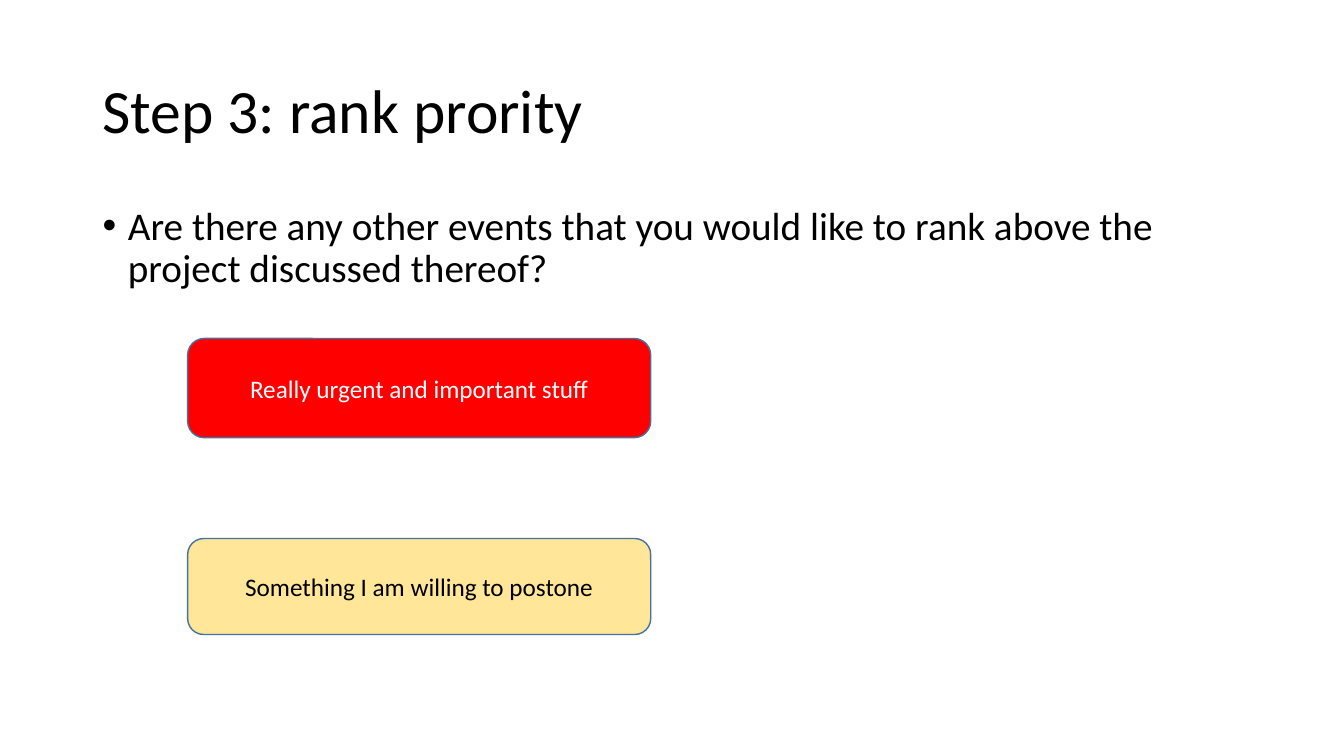
from pptx import Presentation
from pptx.dml.color import RGBColor
from pptx.enum.shapes import MSO_SHAPE
from pptx.enum.text import MSO_ANCHOR, MSO_AUTO_SIZE, PP_ALIGN
from pptx.util import Cm, Pt

ROUND = MSO_SHAPE.ROUNDED_RECTANGLE
MIDDLE, TOP = MSO_ANCHOR.MIDDLE, MSO_ANCHOR.TOP
LEFT, CENTER = PP_ALIGN.LEFT, PP_ALIGN.CENTER
NO_FIT = MSO_AUTO_SIZE.NONE

COLORS = {
    "black": "000000",
    "white": "FFFFFF",
    "red": "FF0000",
    "sand": "FFE699",
    "edge": "43739E",
}


class Deck:
    """Holds the style and the current slide."""

    font = "Calibri"

    def __init__(self, prs):
        self.slide = prs.slides.add_slide(prs.slide_layouts[1])

    def color(self, name):
        return RGBColor.from_string(COLORS[name])

    def label(self, shape, text, size, color, align, anchor):
        frame = shape.text_frame
        frame.text = text
        frame.word_wrap = True
        frame.auto_size = NO_FIT
        frame.vertical_anchor = anchor
        para = frame.paragraphs[0]
        para.alignment = align
        font = para.runs[0].font
        font.name, font.size = self.font, Pt(size)
        font.color.rgb = self.color(color)
        return para

    def place(self, shape, left, top, width, height):
        shape.left, shape.top = Cm(left), Cm(top)
        shape.width, shape.height = Cm(width), Cm(height)

    def title(self, text, *box):
        shape = self.slide.shapes.title
        self.place(shape, *box)
        para = self.label(shape, text, 44, "black", LEFT, MIDDLE)
        para.line_spacing = 0.9

    def bullet(self, text, *box):
        shape = self.slide.placeholders[1]
        self.place(shape, *box)
        para = self.label(shape, text, 28, "black", LEFT, TOP)
        para.line_spacing = 0.9
        para.space_before = Pt(10)
        # Hanging indent; the bullet sign comes from the template
        props = para._p.get_or_add_pPr()
        indent = Cm(0.64)
        props.set("marL", str(indent))
        props.set("indent", str(-indent))

    def card(self, text, fill, color, *box):
        shape = self.slide.shapes.add_shape(ROUND, *map(Cm, box))
        shape.shadow.inherit = False
        shape.fill.solid()
        shape.fill.fore_color.rgb = self.color(fill)
        shape.line.color.rgb = self.color("edge")
        shape.line.width = Pt(1)
        self.label(shape, text, 18, color, CENTER, MIDDLE)


def main():
    prs = Presentation()
    prs.slide_width, prs.slide_height = Cm(33.87), Cm(19.05)
    deck = Deck(prs)

    # Heading and question
    deck.title("Step 3: rank prority", 2.33, 1.01, 29.21, 3.68)
    deck.bullet(
        "Are there any other events that you would like to rank above "
        "the project discussed thereof?",
        2.33, 5.07, 29.21, 12.09)

    # Priority cards, most urgent first
    cards = [
        ("Really urgent and important stuff", "red", "white", 8.53, 2.5),
        ("Something I am willing to postone", "sand", "black", 13.57, 2.42),
    ]
    for text, fill, color, top, height in cards:
        deck.card(text, fill, color, 4.73, top, 11.67, height)

    prs.save("out.pptx")


if __name__ == "__main__":
    main()
